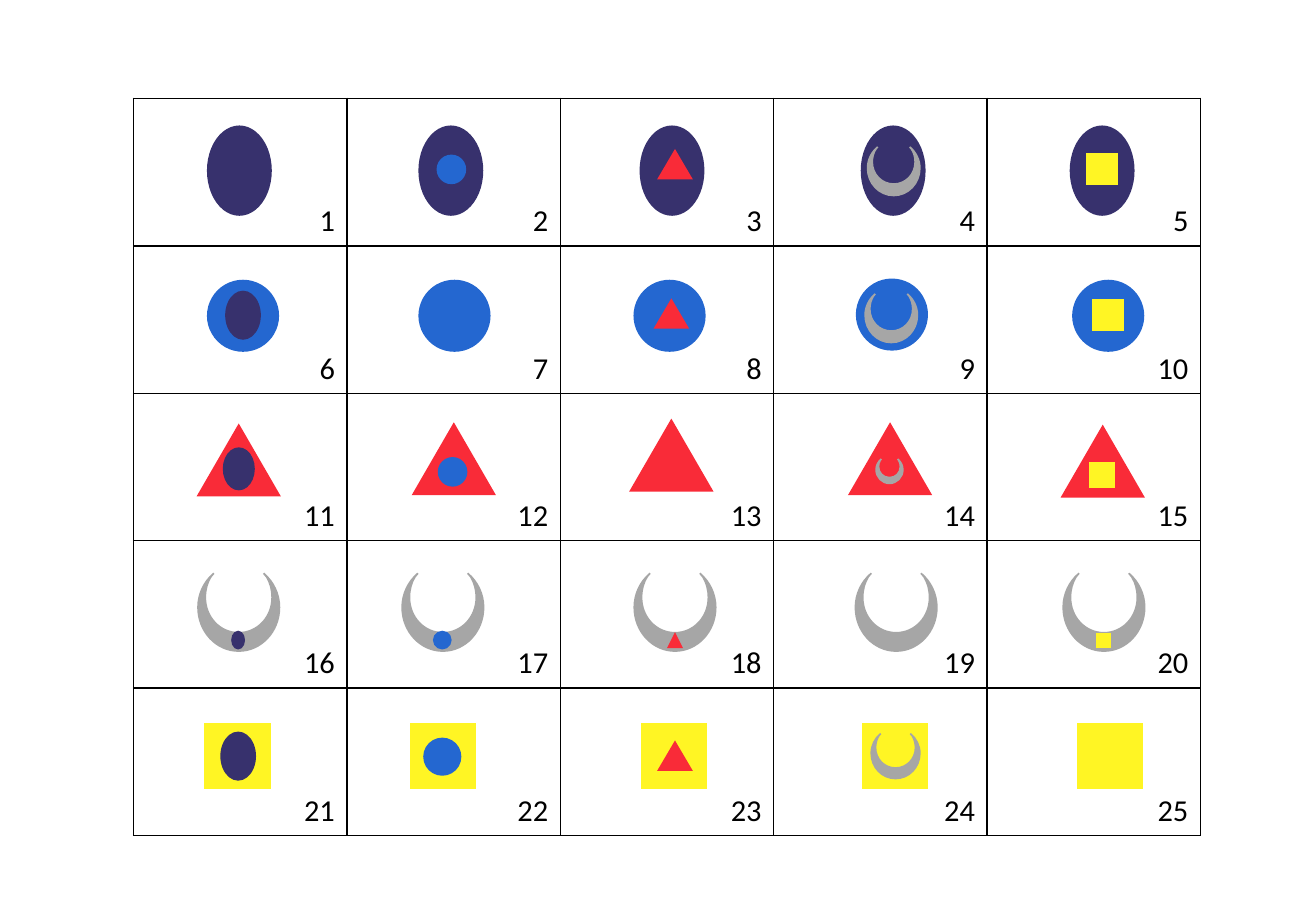
"""Build a five by five grid of numbered shape-in-shape cards."""
from dataclasses import dataclass

from lxml.etree import fromstring
from pptx import Presentation
from pptx.dml.color import RGBColor
from pptx.enum.shapes import MSO_SHAPE as SHAPE
from pptx.enum.text import MSO_ANCHOR as ANCHOR, PP_ALIGN as ALIGN
from pptx.util import Inches, Pt


@dataclass
class Theme:
    indigo: str = "37316D"
    blue: str = "2467D0"
    red: str = "F92B38"
    grey: str = "A6A6A6"
    yellow: str = "FFF524"
    black: str = "000000"
    font: str = "Calibri"
    size: int = 18
    line: int = 1


theme = Theme()
NS = "http://schemas.openxmlformats.org/drawingml/2006/main"

# (preset, colour, width, height); a crescent has no preset
KINDS = [
    (SHAPE.OVAL, theme.indigo, 0.52, 0.73),
    (SHAPE.OVAL, theme.blue, 0.58, 0.58),
    (SHAPE.ISOSCELES_TRIANGLE, theme.red, 0.67, 0.58),
    (None, theme.grey, 0.67, 0.64),
    (SHAPE.RECTANGLE, theme.yellow, 0.53, 0.53),
]

# crescent segments on a 67 by 64 grid: one point is a line, three a curve
CRESCENT = [
    [(13, 0)],
    [(10.5, 3)],
    [(7.5, 8), (6, 13.5), (6, 20)],
    [(6, 36), (18, 49), (33.5, 49)],
    [(49, 49), (61, 36), (61, 20)],
    [(61, 13.5), (59.5, 8), (56.5, 3)],
    [(54, 0)],
    [(54.5, 0.5)],
    [(62, 7), (67, 17), (67, 28)],
    [(67, 48), (52, 64), (33.5, 64)],
    [(15, 64), (0, 48), (0, 28)],
    [(0, 17), (5, 7), (12.5, 0.5)],
]

# outer left and top, then the box of the inner figure
CARDS = [
    [(1.71, 1.04, None),
     (3.45, 1.04, (3.6, 1.28, 0.23, 0.23)),
     (5.27, 1.04, (5.42, 1.24, 0.27, 0.23)),
     (7.09, 1.04, (7.14, 1.21, 0.43, 0.4)),
     (8.81, 1.04, (8.94, 1.27, 0.25, 0.25))],
    [(1.71, 2.31, (1.86, 2.4, 0.28, 0.39)),
     (3.45, 2.31, None),
     (5.22, 2.31, (5.39, 2.47, 0.27, 0.23)),
     (7.05, 2.3, (7.12, 2.42, 0.43, 0.4)),
     (8.83, 2.31, (8.99, 2.47, 0.25, 0.25))],
    [(1.63, 3.5, (1.84, 3.69, 0.25, 0.34)),
     (3.4, 3.49, (3.61, 3.77, 0.23, 0.23)),
     (5.19, 3.46, None),
     (6.99, 3.49, (7.21, 3.78, 0.22, 0.2)),
     (8.74, 3.51, (8.97, 3.81, 0.2, 0.2))],
    [(1.63, 4.72, (1.91, 5.2, 0.1, 0.14)),
     (3.31, 4.72, (3.57, 5.2, 0.14, 0.14)),
     (5.22, 4.72, (5.5, 5.22, 0.11, 0.11)),
     (7.04, 4.72, None),
     (8.75, 4.72, (9.03, 5.22, 0.11, 0.11))],
    [(1.69, 5.96, (1.82, 6.03, 0.28, 0.39)),
     (3.38, 5.96, (3.49, 6.08, 0.3, 0.3)),
     (5.28, 5.96, (5.42, 6.11, 0.27, 0.23)),
     (7.1, 5.96, (7.17, 6.04, 0.4, 0.37)),
     (8.87, 5.96, None)],
]


def crescent(shapes, x, y, w, h):
    """Outline a crescent and merge its point triples into curves."""
    points = [(Inches(x + w * px / 67), Inches(y + h * py / 64))
              for segment in CRESCENT for px, py in segment]
    builder = shapes.build_freeform(*points[0])
    builder.add_line_segments(points[1:], close=True)
    sp = builder.convert_to_shape()
    outline = sp._element.find(f".//{{{NS}}}path")
    lines = iter(outline.findall(f"{{{NS}}}lnTo"))
    for segment in CRESCENT[1:]:
        first, *others = [next(lines) for _ in segment]
        for other in others:
            first.append(other[0])
            outline.remove(other)
        if others:
            first.tag = f"{{{NS}}}cubicBezTo"
    return sp


def add_figure(shapes, kind, box):
    """Draw one figure in its colour inside the box."""
    preset, color = kind[:2]
    if preset is None:
        sp = crescent(shapes, *box)
    else:
        sp = shapes.add_shape(preset, *map(Inches, box))
    sp.shadow.inherit = False
    sp.fill.solid()
    sp.fill.fore_color.rgb = RGBColor.from_string(color)
    sp.line.color.rgb = RGBColor.from_string(color)
    sp.line.width = Pt(theme.line)
    ln = sp._element.spPr.find(f"{{{NS}}}ln")
    ln.append(fromstring(f'<a:miter xmlns:a="{NS}" lim="800000"/>'))


prs = Presentation()
prs.slide_width, prs.slide_height = Inches(10.83), Inches(7.5)
s = prs.slides.add_slide(prs.slide_layouts[6])

table = s.shapes.add_table(5, 5, Inches(1.1), Inches(0.81), Inches(8.78), Inches(6.07)).table
table.first_row = table.horz_banding = False
for i, cell in enumerate(table.iter_cells(), 1):
    cell.vertical_anchor = ANCHOR.BOTTOM
    cell.fill.background()
    tcPr = cell._tc.get_or_add_tcPr()
    for pos, side in enumerate("LRTB"):
        tcPr.insert(pos, fromstring(
            f'<a:ln{side} xmlns:a="{NS}" w="{Pt(theme.line)}"><a:solidFill>'
            f'<a:srgbClr val="{theme.black}"/></a:solidFill></a:ln{side}>'))
    p = cell.text_frame.paragraphs[0]
    p.alignment = ALIGN.RIGHT
    r = p.add_run()
    r.text = str(i)
    r.font.name = theme.font
    r.font.size = Pt(theme.size)
    r.font.color.rgb = RGBColor.from_string(theme.black)

for outer, row in zip(KINDS, CARDS):
    for inner, (x, y, inner_box) in zip(KINDS, row):
        shapes = s.shapes.add_group_shape().shapes if inner_box else s.shapes
        add_figure(shapes, outer, (x, y, *outer[2:]))
        if inner_box:
            add_figure(shapes, inner, inner_box)

prs.save("out.pptx")
